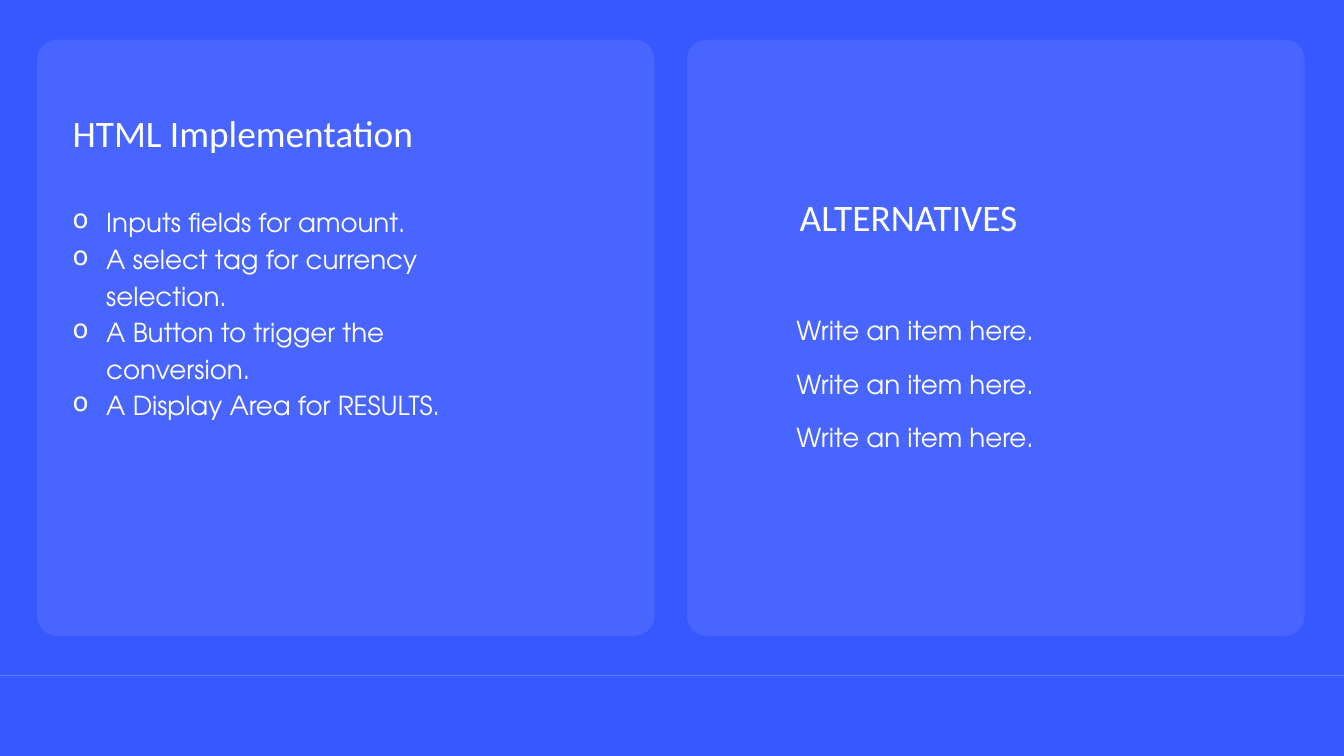
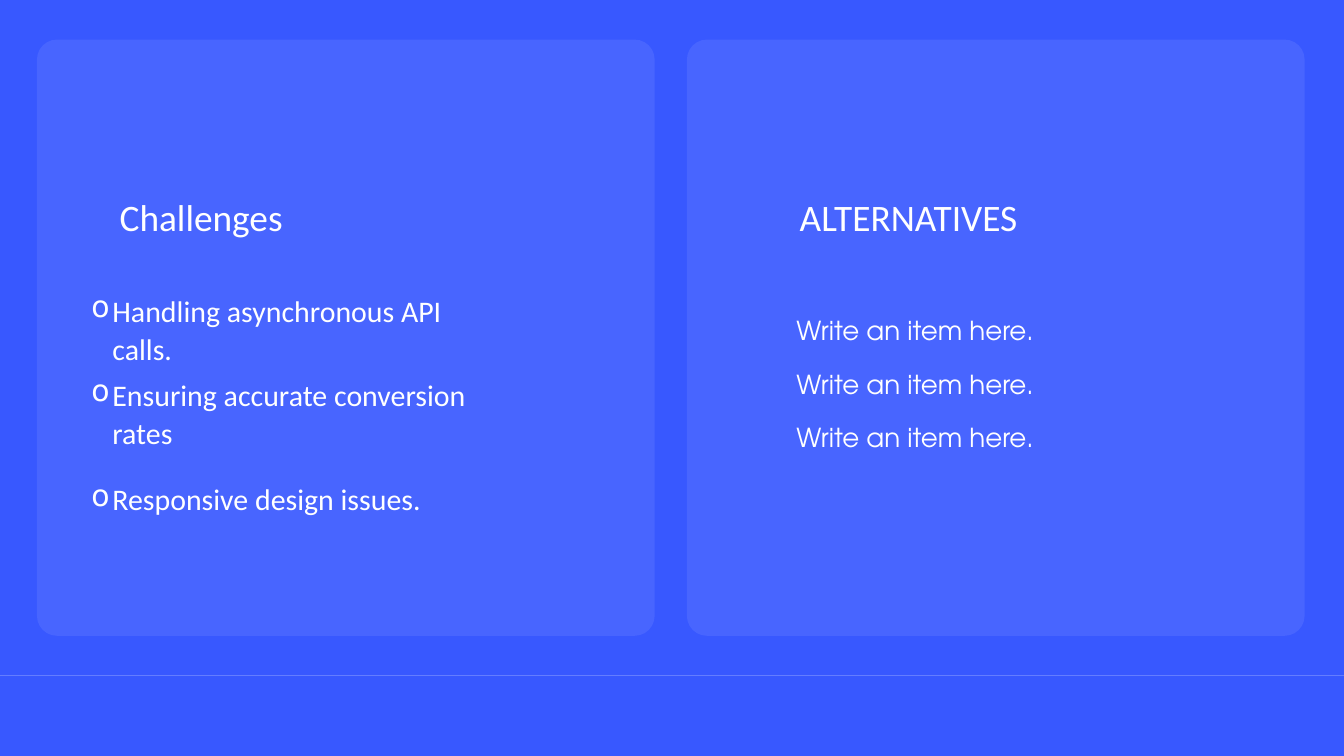
import lxml.etree
import pptx
import pptx.dml.color
import pptx.enum.shapes
import pptx.enum.text
import pptx.oxml.ns
import pptx.util

Pt = pptx.util.Pt
qn = pptx.oxml.ns.qn

SLIDE_WIDTH, SLIDE_HEIGHT = 1440, 810
BACKGROUND, CARD, WHITE = "3858FF", "6D85FF", "FFFFFF"
HEADING_FONT, ITEM_FONT = "Calibri", "TeX Gyre Adventor"
CARD_LEFTS = (39.6, 736)
CARD_TOP, CARD_WIDTH, CARD_HEIGHT, CARD_RADIUS = 42.4, 661.8, 638.8, 21.4
FOOTER_LINE_TOP = 723.6
COLUMN_WIDTH = 464
ITEM_SPACING = 39.2


def paint(color_format, hex_color):
    """Set a colour format from a hex string."""
    color_format.rgb = pptx.dml.color.RGBColor.from_string(hex_color)


def set_opacity(shape, percent):
    """Make the colours of a shape's outline and fill partly transparent."""
    for color in shape.element.spPr.iter(qn("a:srgbClr")):
        lxml.etree.SubElement(color, qn("a:alpha"), val=str(percent * 1000))


def add_card(slide, left):
    """Add a translucent rounded card."""
    card = slide.shapes.add_shape(
        pptx.enum.shapes.MSO_SHAPE.ROUNDED_RECTANGLE,
        Pt(left), Pt(CARD_TOP), Pt(CARD_WIDTH), Pt(CARD_HEIGHT))
    card.adjustments[0] = CARD_RADIUS / CARD_HEIGHT
    card.shadow.inherit = False
    card.fill.solid()
    paint(card.fill.fore_color, CARD)
    card.line.fill.background()
    set_opacity(card, 30)


def add_footer_line(slide):
    """Add the thin rule across the foot of the slide."""
    rule = slide.shapes.add_connector(
        pptx.enum.shapes.MSO_CONNECTOR.STRAIGHT,
        Pt(0), Pt(FOOTER_LINE_TOP), Pt(SLIDE_WIDTH), Pt(FOOTER_LINE_TOP))
    rule.line.width = Pt(0.75)
    paint(rule.line.color, WHITE)
    set_opacity(rule, 34)
    lxml.etree.SubElement(rule.element.spPr, qn("a:effectLst"))


def add_bullet(paragraph, margin, hanging):
    """Give a paragraph a round bullet with a hanging indent."""
    properties = paragraph._p.get_or_add_pPr()
    properties.set("marL", str(Pt(margin)))
    properties.set("indent", str(-Pt(hanging)))
    lxml.etree.SubElement(properties, qn("a:buChar"), char="o")


def add_text(slide, left, top, height, lines, size, font, spacing, indent=None, gaps=()):
    """Add a white text box, one paragraph a line, with optional bullets and gaps."""
    box = slide.shapes.add_textbox(Pt(left), Pt(top), Pt(COLUMN_WIDTH), Pt(height))
    frame = box.text_frame
    frame.word_wrap = True
    frame.auto_size = pptx.enum.text.MSO_AUTO_SIZE.SHAPE_TO_FIT_TEXT
    frame.margin_left = frame.margin_top = frame.margin_right = frame.margin_bottom = 0
    for number, line in enumerate(lines):
        paragraph = frame.add_paragraph() if number else frame.paragraphs[0]
        if indent:
            add_bullet(paragraph, *indent)
        paragraph.line_spacing = spacing
        if gaps:
            paragraph.space_after = Pt(gaps[number])
        run = paragraph.add_run()
        run.text = line
        run.font.size = Pt(size)
        run.font.name = font
        paint(run.font.color, WHITE)


def add_heading(slide, left, top, heading):
    """Add the heading of a card."""
    add_text(slide, left, top, 41.8, [heading], 40, HEADING_FONT, Pt(40))


def add_alternatives(slide):
    """Fill the right card with its heading and evenly spaced items."""
    add_heading(slide, 856.8, 216, "ALTERNATIVES")
    for row in range(3):
        add_text(slide, 853.2, 331.2 + row * 57.6, ITEM_SPACING,
                 ["Write an item here."], 28, ITEM_FONT, Pt(ITEM_SPACING))


def add_card_slide(presentation):
    """Add a slide with the shared background, rule, cards and right column."""
    slide = presentation.slides.add_slide(presentation.slide_layouts[6])
    slide.background.fill.solid()
    paint(slide.background.fill.fore_color, BACKGROUND)
    add_footer_line(slide)
    for left in CARD_LEFTS:
        add_card(slide, left)
    add_alternatives(slide)
    return slide


def add_implementation_slide(presentation):
    """Add the slide on the HTML implementation."""
    slide = add_card_slide(presentation)
    add_heading(slide, 77.8, 126, "HTML Implementation")
    elements = [
        "Inputs fields for amount.",
        "A select tag for currency selection.",
        "A Button to trigger the conversion.",
        "A Display Area for RESULTS.",
    ]
    add_text(slide, 77.8, 216, 233.3, elements, 28, ITEM_FONT,
             Pt(ITEM_SPACING), indent=(36, 36))


def add_challenges_slide(presentation):
    """Add the slide on the challenges."""
    slide = add_card_slide(presentation)
    add_heading(slide, 128.2, 216, "Challenges")
    challenges = [
        "Handling asynchronous API calls.",
        "Ensuring accurate conversion rates",
        "Responsive design issues.",
    ]
    add_text(slide, 61.9, 310.5, 243, challenges, 32, HEADING_FONT,
             1.07, indent=(58.5, 22.5), gaps=(8, 30, 8))


def main():
    """Build and save the presentation."""
    presentation = pptx.Presentation()
    presentation.slide_width = Pt(SLIDE_WIDTH)
    presentation.slide_height = Pt(SLIDE_HEIGHT)
    add_implementation_slide(presentation)
    add_challenges_slide(presentation)
    presentation.save("out.pptx")


if __name__ == "__main__":
    main()
